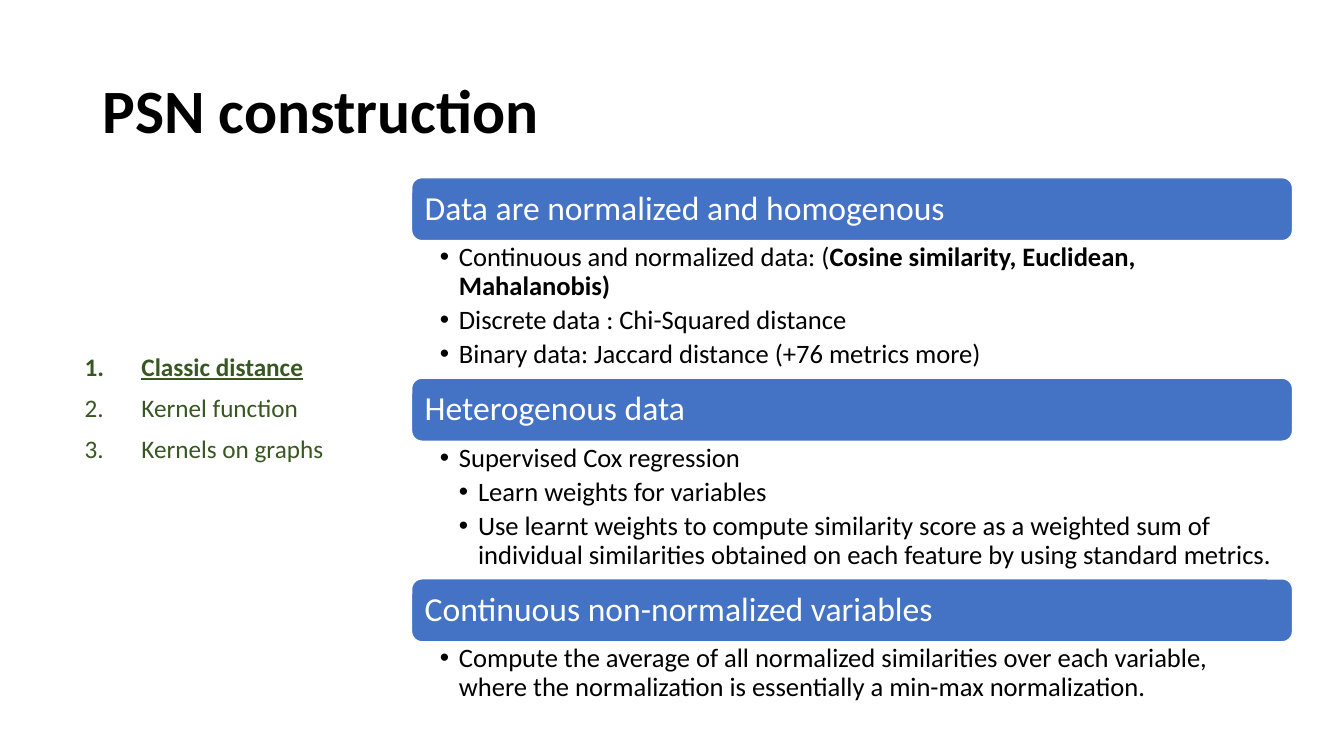
from dataclasses import dataclass

from pptx import Presentation
from pptx.dml.color import RGBColor as Color
from pptx.enum.shapes import MSO_SHAPE as Shape
from pptx.enum.text import MSO_ANCHOR as Anchor, PP_ALIGN as Align
from pptx.oxml.ns import qn
from pptx.util import Inches, Pt
from lxml.etree import SubElement


@dataclass(frozen=True)
class Theme:
    """Colours, font and type sizes of the slide."""
    font: str = "Calibri"
    black: str = "000000"
    white: str = "FFFFFF"
    blue: str = "4472C4"
    green: str = "385723"
    title: int = 44
    heading: int = 24
    detail: int = 19
    agenda: int = 18
    leading: float = 0.9


class SlideBuilder:
    """Draws elements on one page laid out in 40 columns and 30 rows."""

    def __init__(self, deck, theme):
        """Add a blank page and measure its grid."""
        self.theme = theme
        self.page = deck.slides.add_slide(deck.slide_layouts[6])
        self.column = deck.slide_width / 40
        self.row = deck.slide_height / 30

    def area(self, left, top, width, height):
        """Turn columns and rows into lengths."""
        return (int(left * self.column), int(top * self.row),
                int(width * self.column), int(height * self.row))

    def frame(self, box, anchor, insets=(0.3, 0.2, 0.3, 0.2)):
        """Prepare the text frame of a box, with insets in columns and rows."""
        frame = box.text_frame
        frame.word_wrap = True
        frame.vertical_anchor = anchor
        (frame.margin_left, frame.margin_top,
         frame.margin_right, frame.margin_bottom) = self.area(*insets)
        return frame

    def fill_text(self, para, text, size, color, bold=False):
        """Fill a paragraph and set its font."""
        para.alignment = Align.LEFT
        para.line_spacing = self.theme.leading
        para.add_run().text = text
        font = para.font
        font.name, font.size, font.bold = self.theme.font, Pt(size), bold
        font.color.rgb = Color.from_string(color)

    def mark(self, para, indent, hang, tag, **settings):
        """Give a paragraph a hanging bullet or number."""
        props = para._p.get_or_add_pPr()
        props.set("marL", str(int(indent * self.column)))
        props.set("indent", str(-int(hang * self.column)))
        SubElement(props, qn("a:buFont"), typeface="Arial" if tag == "a:buChar" else "+mj-lt")
        SubElement(props, qn(tag), **settings)

    def paragraphs(self, frame, count):
        """Return the given number of paragraphs in a new frame."""
        return [frame.paragraphs[0]] + [frame.add_paragraph() for _ in range(count - 1)]

    def title(self, text, *area):
        """Add the slide title."""
        box = self.page.shapes.add_textbox(*self.area(*area))
        frame = self.frame(box, Anchor.MIDDLE)
        self.fill_text(frame.paragraphs[0], text, self.theme.title, self.theme.black, True)

    def heading(self, text, *area):
        """Add a rounded heading bar."""
        bar = self.page.shapes.add_shape(Shape.ROUNDED_RECTANGLE, *self.area(*area))
        bar.shadow.inherit = False
        bar.fill.solid()
        bar.fill.fore_color.rgb = Color.from_string(self.theme.blue)
        bar.line.color.rgb = Color.from_string(self.theme.white)
        bar.line.width = Pt(1)
        frame = self.frame(bar, Anchor.MIDDLE, (0.3, 0, 0.3, 0))
        self.fill_text(frame.paragraphs[0], text, self.theme.heading, self.theme.white)

    def details(self, items, *area):
        """Add bulleted (level, text, bold ending) items."""
        box = self.page.shapes.add_textbox(*self.area(*area))
        frame = self.frame(box, Anchor.TOP, (0.84, 0.12, 0.57, 0.12))
        for para, (level, text, ending) in zip(self.paragraphs(frame, len(items)), items):
            self.mark(para, 0.57 * level, 0.57, "a:buChar", char="•")
            self.fill_text(para, text, self.theme.detail, self.theme.black)
            para.space_after = Pt(3.8)
            if ending:
                span = para.add_run()
                span.text = ending
                span.font.bold = True

    def agenda(self, items, current, *area):
        """Add a numbered agenda with the current item emphasised."""
        box = self.page.shapes.add_textbox(*self.area(*area))
        frame = self.frame(box, Anchor.MIDDLE)
        for para, text in zip(self.paragraphs(frame, len(items)), items):
            self.mark(para, 1.69, 1.69, "a:buAutoNum", type="arabicPeriod")
            self.fill_text(para, text, self.theme.agenda, self.theme.green, text == current)
            para.font.underline = text == current
            para.space_before = Pt(10)


SECTIONS = [
    ("Data are normalized and homogenous", [
        (1, "Continuous and normalized data: (", "Cosine similarity, Euclidean, Mahalanobis)"),
        (1, "Discrete data : Chi-Squared distance", ""),
        (1, "Binary data: Jaccard distance (+76 metrics more)", "")]),
    ("Heterogenous data", [
        (1, "Supervised Cox regression", ""),
        (2, "Learn weights for variables", ""),
        (2, "Use learnt weights to compute similarity score as a weighted sum of individual "
            "similarities obtained on each feature by using standard metrics.", "")]),
    ("Continuous non-normalized variables", [
        (1, "Compute the average of all normalized similarities over each variable, "
            "where the normalization is essentially a min-max normalization.", "")]),
]
AGENDA = ["Classic distance", "Kernel function", "Kernels on graphs"]


def main():
    """Build and save the deck."""
    deck = Presentation()
    deck.slide_width, deck.slide_height = Inches(13.33), Inches(7.5)
    slide = SlideBuilder(deck, Theme())
    slide.title("PSN construction", 2.75, 1.6, 34.5, 5.8)
    left, first, width, bar, pitch = 12.25, 7.05, 26.22, 2.5, 7.96
    for index, (heading, items) in enumerate(SECTIONS):
        top = first + index * pitch
        slide.heading(heading, left, top, width, bar)
        height = min(pitch - bar, 28.1 - top - bar)
        slide.details(items, left, top + bar, width, height)
    slide.agenda(AGENDA, AGENDA[0], 2.22, 6.72, 8, 19.04)
    deck.save("out.pptx")


main()
